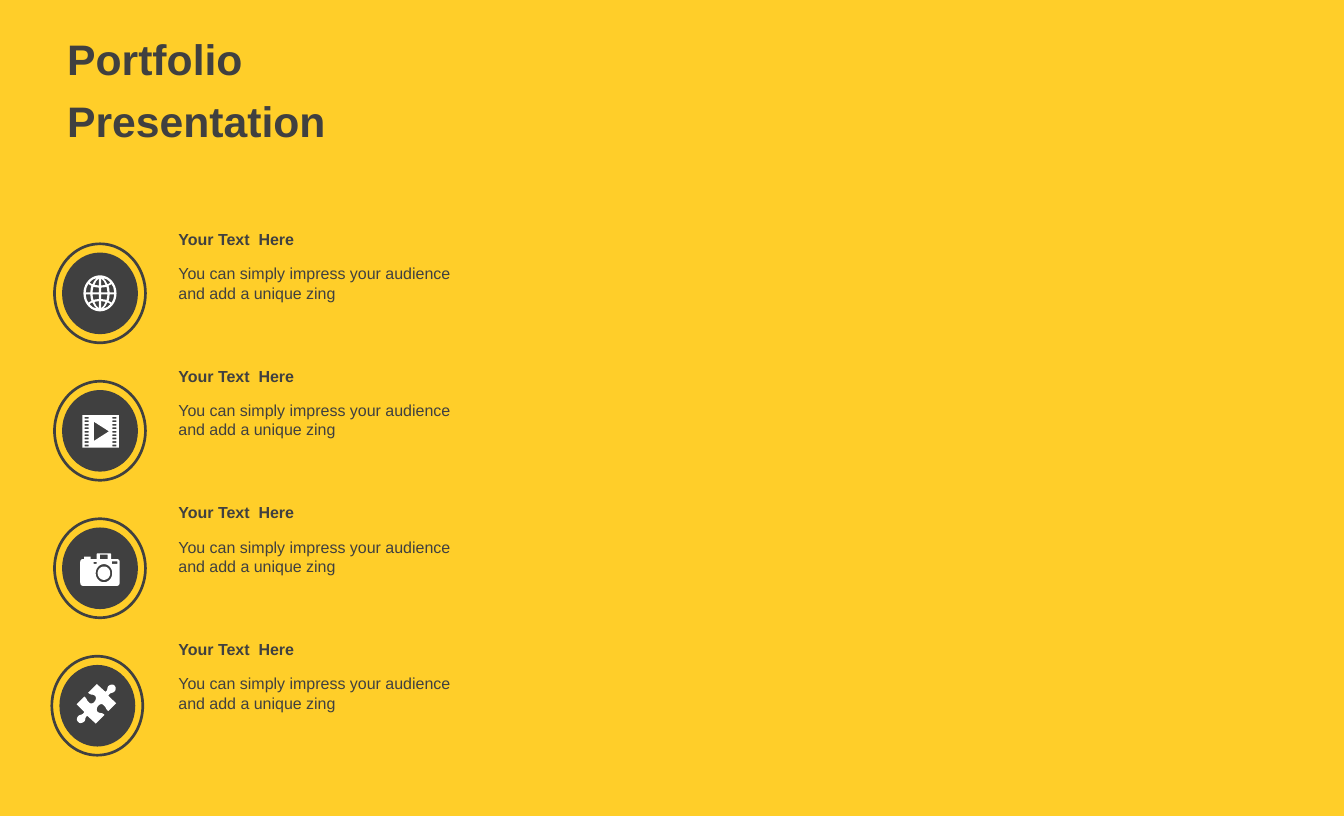
import pptx
import pptx.util
import pptx.dml.color
import pptx.enum.shapes
import pptx.enum.text
import math
from dataclasses import dataclass
from typing import Callable

Pt = pptx.util.Pt
Point = tuple[float, float]
Contour = list[Point]


@dataclass(frozen=True)
class Theme:
    yellow: str = "FFCE29"
    charcoal: str = "404040"
    white: str = "FFFFFF"
    font: str = "Arial"
    title_size: float = 32
    body_size: float = 12


@dataclass(frozen=True)
class Feature:
    heading: str
    description: str
    icon: Callable[[], list[Contour]]
    badge_shift: float = 0
    icon_shift: Point = (0, 0)


THEME = Theme()
HEADING = "Your Text  Here"
DESCRIPTION = "You can simply impress your audience and add a unique zing"
RING_LEFT, RING_TOP, RING_STEP = 40.9, 182.9, 103.1
RING_WIDTH, RING_HEIGHT = 68.2, 74.2
DISC_WIDTH, DISC_HEIGHT = 56.9, 61.2
TEXT_LEFT, TEXT_TOP, TEXT_STEP, TEXT_WIDTH = 126.7, 168.6, 102.5, 222.5


# Outline geometry: points around the icon's centre
def rectangle(left: float, top: float, right: float, bottom: float) -> Contour:
    return [(left, top), (right, top), (right, bottom), (left, bottom)]


def ellipse(x: float, y: float, radius_x: float, radius_y: float) -> Contour:
    angles = [math.tau * step / 48 for step in range(48)]
    return [(x + radius_x * math.cos(a), y + radius_y * math.sin(a)) for a in angles]


def outline(start: Point, *segments: tuple) -> Contour:
    """Follow lines (one point) and Bezier curves (two handles and an end)."""
    points = [start]
    for segment in segments:
        if len(segment) == 1:
            points.append(segment[0])
            continue
        corners = (points[-1], *segment)
        for step in range(1, 9):
            t = step / 8
            weights = ((1 - t) ** 3, 3 * t * (1 - t) ** 2, 3 * t * t * (1 - t), t ** 3)
            points.append(tuple(
                sum(w * corner[axis] for w, corner in zip(weights, corners))
                for axis in (0, 1)))
    return points


# Icons: inner contours are cut out of the outer one
def globe() -> list[Contour]:
    quarter = [
        [(0.8, 5.8), (0.8, 11.2), (2.8, 9.2), (4.2, 6.4)],
        [(0.8, 0.8), (0.8, 4.3), (3, 4.5), (4.9, 4.9), (5.3, 3), (5.6, 0.8)],
        [(7.2, 0.8), (7, 3.4), (6.4, 5.7), (7.6, 6.3), (8.7, 7), (10, 4.5), (10.7, 0.8)],
        [(2.5, 11.4), (4.2, 9.4), (5.6, 6.8), (6.8, 7.3), (7.8, 8.2), (5.4, 10.3)],
    ]
    gaps = [[(x * side, y * half) for x, y in gap]
            for gap in quarter for side in (-1, 1) for half in (-1, 1)]
    return [ellipse(0, 0, 12.4, 13.5), *gaps]


def film() -> list[Contour]:
    holes = [rectangle(left, -10.8 + 2.6 * row, left + 3, -9.5 + 2.6 * row)
             for row in range(9) for left in (-11.9, 8.9)]
    play = [(-5, -7.2), (-5, 7.2), (6.3, 0)]
    return [rectangle(-13.7, -12.2, 13.7, 12.2), play, *holes]


def camera() -> list[Contour]:
    body = outline(
        (-1.5, -12.2), ((7.6, -12.2),), ((8, -12.2), (8.3, -12), (8.3, -11.5)),
        ((8.3, -7.9),), ((12.6, -7.9),), ((14, -7.9), (14.8, -7), (14.8, -5.8)),
        ((14.8, 9.6),), ((14.8, 11.2), (14, 12.2), (12.6, 12.2)),
        ((-12.6, 12.2),), ((-14, 12.2), (-14.8, 11.2), (-14.8, 9.6)),
        ((-14.8, -5.8),), ((-14.8, -7), (-14, -7.9), (-12.6, -7.9)),
        ((-11.9, -7.9),), ((-11.9, -9.7),), ((-7, -9.7),), ((-7, -7.9),),
        ((-2.5, -7.9),), ((-2.5, -11.5),), ((-2.5, -12), (-2, -12.2), (-1.5, -12.2)))
    lens = [ellipse(3, 2.7, 6.2, 6.8), ellipse(3, 2.7, 4.7, 5)]
    windows = [rectangle(0, -11.2, 5.8, -7.9), rectangle(-4.7, -5.8, -2.5, -4.3),
               rectangle(9, -6.2, 13, -4.3)]
    return [body, *lens, *windows]


def puzzle() -> list[Contour]:
    half = outline(
        (13.6, -13.6), ((14.8, -12.6), (14.8, -11.2), (14, -9.7)),
        ((12.6, -7.6), (10.4, -9), (9, -6.1)), ((14.8, -0.4),), ((9, 5.4),),
        ((6.8, 4), (7.6, 2.5), (5.4, 1.1)), ((4.7, -0.4), (2.5, 0.4), (1.8, 1.1)),
        ((0.4, 2.5), (-0.4, 4.7), (1.1, 6.1)), ((3.2, 7.6), (4, 6.1), (6.1, 8.3)),
        ((-0.4, 14.8),), ((-6.8, 9),), ((-9, 10.4), (-7.6, 11.2), (-9, 13.3)),
        ((-11.2, 14.8), (-12.6, 14.8), (-13.6, 13.6)))
    return [half + [(-x, -y) for x, y in half]]


# Drawing
def color(value: str) -> pptx.dml.color.RGBColor:
    return pptx.dml.color.RGBColor.from_string(value)


def paint(shape, fill: str, line: str | None = None) -> None:
    shape.shadow.inherit = False
    shape.fill.solid()
    shape.fill.fore_color.rgb = color(fill)
    if line is None:
        shape.line.fill.background()
    else:
        shape.line.color.rgb = color(line)
        shape.line.width = Pt(2)


def format_text(shape, size: float, bold: bool) -> None:
    shape.text_frame.word_wrap = True
    formats = {"name": THEME.font, "size": Pt(size), "bold": bold}
    for paragraph in shape.text_frame.paragraphs:
        paragraph.alignment = pptx.enum.text.PP_ALIGN.LEFT
        for name, value in formats.items():
            setattr(paragraph.font, name, value)
        paragraph.font.color.rgb = color(THEME.charcoal)


def add_oval(slide, center: Point, width: float, height: float,
             fill: str, line: str | None = None) -> None:
    shape = slide.shapes.add_shape(
        pptx.enum.shapes.MSO_SHAPE.OVAL, Pt(center[0] - width / 2),
        Pt(center[1] - height / 2), Pt(width), Pt(height))
    paint(shape, fill, line)


def add_icon(slide, contours: list[Contour], center: Point) -> None:
    placed = [[(Pt(center[0] + x), Pt(center[1] + y)) for x, y in contour]
              for contour in contours]
    builder = slide.shapes.build_freeform(*placed[0][0])
    for index, contour in enumerate(placed):
        if index:
            builder.move_to(*contour[0])
        builder.add_line_segments(contour[1:], close=True)
    paint(builder.convert_to_shape(), THEME.white)


def add_text(slide, text: str, top: float, height: float, bold: bool) -> None:
    shape = slide.shapes.add_textbox(Pt(TEXT_LEFT), Pt(top), Pt(TEXT_WIDTH), Pt(height))
    shape.text_frame.text = text
    format_text(shape, THEME.body_size, bold)


def add_feature(slide, feature: Feature, row: int) -> None:
    center = (RING_LEFT + RING_WIDTH / 2 + feature.badge_shift,
              RING_TOP + RING_HEIGHT / 2 + RING_STEP * row)
    add_oval(slide, center, RING_WIDTH, RING_HEIGHT, THEME.yellow, THEME.charcoal)
    add_oval(slide, center, DISC_WIDTH, DISC_HEIGHT, THEME.charcoal)
    shift_x, shift_y = feature.icon_shift
    add_icon(slide, feature.icon(), (center[0] + shift_x, center[1] + shift_y))
    top = TEXT_TOP + TEXT_STEP * row
    add_text(slide, feature.heading, top, 21.8, True)
    add_text(slide, feature.description, top + 25.8, 36, False)


def set_title(slide) -> None:
    title = slide.shapes.title
    box = {"left": 43.2, "top": 17.3, "width": 325.4, "height": 142.6}
    for name, value in box.items():
        setattr(title, name, Pt(value))
    frame = title.text_frame
    frame.text = "Portfolio\nPresentation"
    frame.auto_size = pptx.enum.text.MSO_AUTO_SIZE.NONE
    frame.vertical_anchor = pptx.enum.text.MSO_ANCHOR.TOP
    frame.margin_top = Pt(7)
    frame.paragraphs[1].space_before = Pt(8.2)
    format_text(title, THEME.title_size, True)


def main() -> None:
    presentation = pptx.Presentation()
    presentation.slide_width, presentation.slide_height = Pt(1008), Pt(612)
    slide = presentation.slides.add_slide(presentation.slide_layouts[5])
    slide.background.fill.solid()
    slide.background.fill.fore_color.rgb = color(THEME.yellow)
    set_title(slide)
    features = [
        Feature(HEADING, DESCRIPTION, globe),
        Feature(HEADING, DESCRIPTION, film, icon_shift=(0.4, 0.4)),
        Feature(HEADING, DESCRIPTION, camera, icon_shift=(0, 1)),
        Feature(HEADING, DESCRIPTION, puzzle, badge_shift=-2, icon_shift=(-0.7, -1.4)),
    ]
    for row, feature in enumerate(features):
        add_feature(slide, feature, row)
    presentation.save("out.pptx")


if __name__ == "__main__":
    main()
